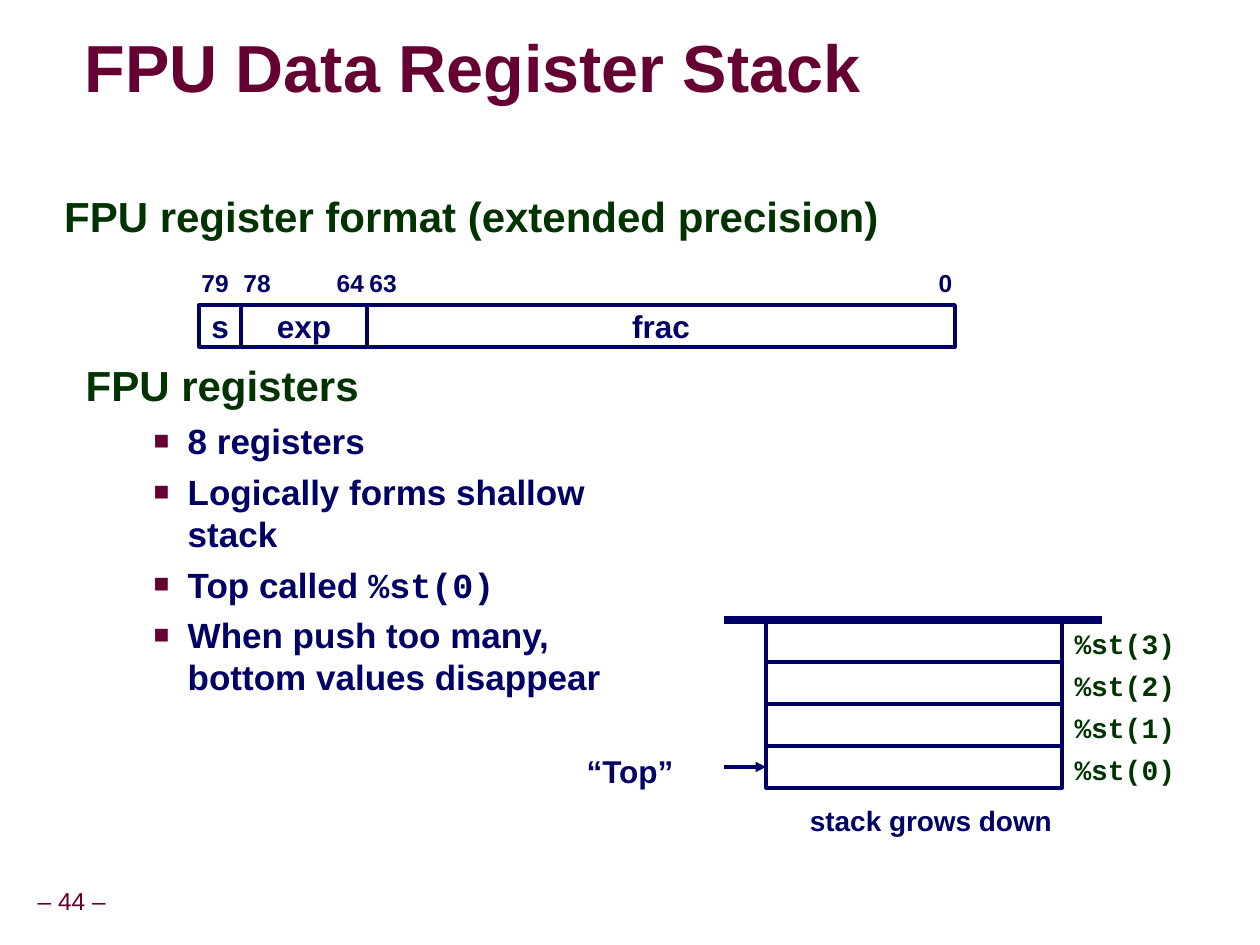
from lxml import etree
from pptx import Presentation
from pptx.dml.color import RGBColor
from pptx.enum.shapes import MSO_CONNECTOR, MSO_SHAPE
from pptx.enum.text import MSO_ANCHOR, MSO_AUTO_SIZE, PP_ALIGN
from pptx.oxml import parse_xml
from pptx.oxml.ns import qn
from pptx.util import Inches, Pt

LEFT, CENTER = PP_ALIGN.LEFT, PP_ALIGN.CENTER
TOP, MIDDLE = MSO_ANCHOR.TOP, MSO_ANCHOR.MIDDLE
MAROON, GREEN, NAVY, WHITE = "660033", "003300", "000066", "FFFFFF"
SANS, MONO = "Arial", "Courier New"
A_NS = "http://schemas.openxmlformats.org/drawingml/2006/main"

TITLE = "FPU Data Register Stack"
FORMAT_HEADING = "FPU register format (extended precision)"
LIST_HEADING = "FPU registers"
# Each point is a list of (text, font) runs
POINTS = [
    [("8 registers", SANS)],
    [("Logically forms shallow stack", SANS)],
    [("Top called ", SANS), ("%st(0)", MONO)],
    [("When push too many, bottom values disappear", SANS)],
]
# name, width in grid units, high bit, low bit
FIELDS = [("s", 1, "79", None), ("exp", 3, "78", "64"), ("frac", 14, "63", "0")]
STACK = ["%st(3)", "%st(2)", "%st(1)", "%st(0)"]
STACK_NOTE = "stack grows down"
TOP_LABEL = "“Top”"
PAGE = "– 44 –"

UNIT = 1 / 3  # grid step, also the height of a register
FORMAT_LEFT, FORMAT_TOP = 1.58, 2.42
STACK_LEFT, STACK_TOP, STACK_WIDTH = 6.08, 4.92, 2.35
LABEL_OVERHANG = 0.08


def rgb(value):
    return RGBColor.from_string(value)


def style(paragraph, size, color, font=SANS, bold=True, align=LEFT):
    paragraph.alignment = align
    paragraph.font.size = Pt(size)
    paragraph.font.color.rgb = rgb(color)
    paragraph.font.name = font
    paragraph.font.bold = bold


def place(shape, left, top, width, height):
    shape.left, shape.top = Inches(left), Inches(top)
    shape.width, shape.height = Inches(width), Inches(height)


def set_frame(frame, anchor=TOP, wrap=True, inset=(0.1, 0.05)):
    frame.auto_size = MSO_AUTO_SIZE.NONE
    frame.vertical_anchor = anchor
    frame.word_wrap = wrap
    frame.margin_left = frame.margin_right = Inches(inset[0])
    frame.margin_top = frame.margin_bottom = Inches(inset[1])


def set_bullet(paragraph, margin, hang, color=None):
    """Set a hanging indent with a square bullet, or no bullet without a color."""
    props = paragraph._p.get_or_add_pPr()
    props.set("marL", str(Inches(margin)))
    props.set("indent", str(-Inches(hang)))
    if color is None:
        etree.SubElement(props, qn("a:buNone"))
        return
    bullet_color = etree.SubElement(props, qn("a:buClr"))
    etree.SubElement(bullet_color, qn("a:srgbClr"), val=color)
    etree.SubElement(props, qn("a:buSzPct"), val="75000")
    etree.SubElement(props, qn("a:buFont"), typeface=SANS)
    etree.SubElement(props, qn("a:buChar"), char="■")


def add_label(slide, text, box, size, color, wrap=False, **look):
    label = slide.shapes.add_textbox(*map(Inches, box))
    set_frame(label.text_frame, wrap=wrap)
    label.text_frame.text = text
    style(label.text_frame.paragraphs[0], size, color, **look)


def add_cell(slide, left, top, width, text=""):
    cell = slide.shapes.add_shape(
        MSO_SHAPE.RECTANGLE, *map(Inches, (left, top, width, UNIT)))
    cell.shadow.inherit = False
    cell.fill.solid()
    cell.fill.fore_color.rgb = rgb(WHITE)
    cell.line.color.rgb = rgb(NAVY)
    cell.line.width = Pt(2)
    set_frame(cell.text_frame, MIDDLE, wrap=False)
    if text:
        cell.text_frame.text = text
        style(cell.text_frame.paragraphs[0], 18, NAVY, align=CENTER)


def add_line(slide, left, right, y, weight, arrow=False):
    line = slide.shapes.add_connector(
        MSO_CONNECTOR.STRAIGHT, *map(Inches, (left, y, right, y)))
    line.line.color.rgb = rgb(NAVY)
    line.line.width = Pt(weight)
    if arrow:
        etree.SubElement(line.line._get_or_add_ln(), qn("a:tailEnd"), type="triangle")
    etree.SubElement(line._element.spPr, qn("a:effectLst"))


def fill_title(title):
    place(title, 0.67, 0.25, 7.32, 0.63)
    set_frame(title.text_frame, MIDDLE, inset=(0, 0))
    title.text_frame.text = TITLE
    paragraph = title.text_frame.paragraphs[0]
    style(paragraph, 38, MAROON)
    paragraph.line_spacing = 0.87
    run_props = paragraph.runs[0]._r.get_or_add_rPr()
    run_props.append(parse_xml(
        f'<a:effectLst xmlns:a="{A_NS}">'
        '<a:outerShdw blurRad="38100" dist="38100" dir="2700000">'
        '<a:srgbClr val="C0C0C0"/></a:outerShdw></a:effectLst>'))


def fill_heading(body, text):
    set_frame(body.text_frame)
    body.text_frame.text = text
    heading = body.text_frame.paragraphs[0]
    style(heading, 24, GREEN)
    heading.line_spacing = 0.95
    heading.space_before = Pt(0)
    set_bullet(heading, 0.42, 0.42)


def fill_points(body):
    for runs in POINTS:
        point = body.text_frame.add_paragraph()
        point.level = 1
        style(point, 20, NAVY)
        point.space_before = Pt(5)
        set_bullet(point, 0.81, 0.27, MAROON)
        for text, font in runs:
            run = point.add_run()
            run.text = text
            run.font.name = font


def draw_format(slide):
    left = FORMAT_LEFT
    label_top, label_height = FORMAT_TOP - 0.34, 0.34
    for name, units, high, low in FIELDS:
        right = left + units * UNIT
        add_cell(slide, left, FORMAT_TOP, right - left, name)
        add_label(slide, high, (left - LABEL_OVERHANG, label_top, 0.42, label_height),
                  14, NAVY)
        if low:
            width = 0.2 + 0.11 * len(low)
            add_label(slide, low, (right + LABEL_OVERHANG - width, label_top,
                                   width, label_height), 14, NAVY)
        left = right


def draw_stack(slide):
    for row, register in enumerate(STACK):
        top = STACK_TOP + row * UNIT
        add_cell(slide, STACK_LEFT, top, STACK_WIDTH)
        add_label(slide, register, (STACK_LEFT + STACK_WIDTH, top, 1, 0.37),
                  16, GREEN, font=MONO)
    last_top = STACK_TOP + (len(STACK) - 1) * UNIT
    add_line(slide, STACK_LEFT - UNIT, STACK_LEFT + 8 * UNIT, STACK_TOP, 4.5)
    add_line(slide, STACK_LEFT - UNIT, STACK_LEFT, last_top + UNIT / 2, 2, arrow=True)
    add_label(slide, TOP_LABEL, (4.46, last_top, 1.08, 0.4), 18, NAVY,
              wrap=True, align=CENTER)
    add_label(slide, STACK_NOTE, (6.33, 6.33, 2.14, 0.37), 16, NAVY)


def main():
    deck = Presentation()
    deck.slide_width, deck.slide_height = Inches(10), Inches(7.5)
    slide = deck.slides.add_slide(deck.slide_layouts.get_by_name("Two Content"))
    title, format_body, list_body = list(slide.placeholders)[:3]
    fill_title(title)
    place(format_body, 0.41, 1.49, 6.79, 0.56)
    fill_heading(format_body, FORMAT_HEADING)
    place(list_body, 0.58, 2.83, 4.5, 3.92)
    fill_heading(list_body, LIST_HEADING)
    fill_points(list_body)
    draw_format(slide)
    draw_stack(slide)
    add_label(slide, PAGE, (0.19, 6.98, 0.76, 0.31), 14, MAROON,
              bold=False, align=CENTER)
    deck.save("out.pptx")


if __name__ == "__main__":
    main()
